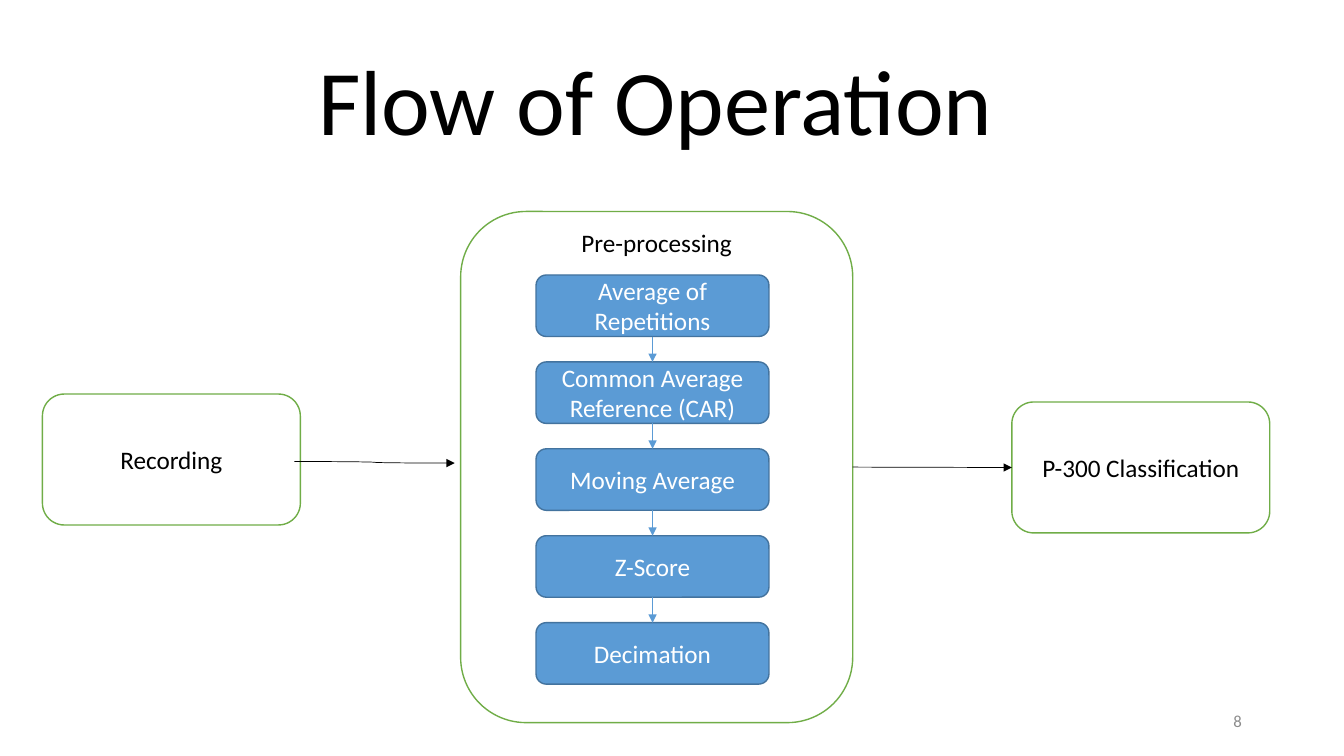
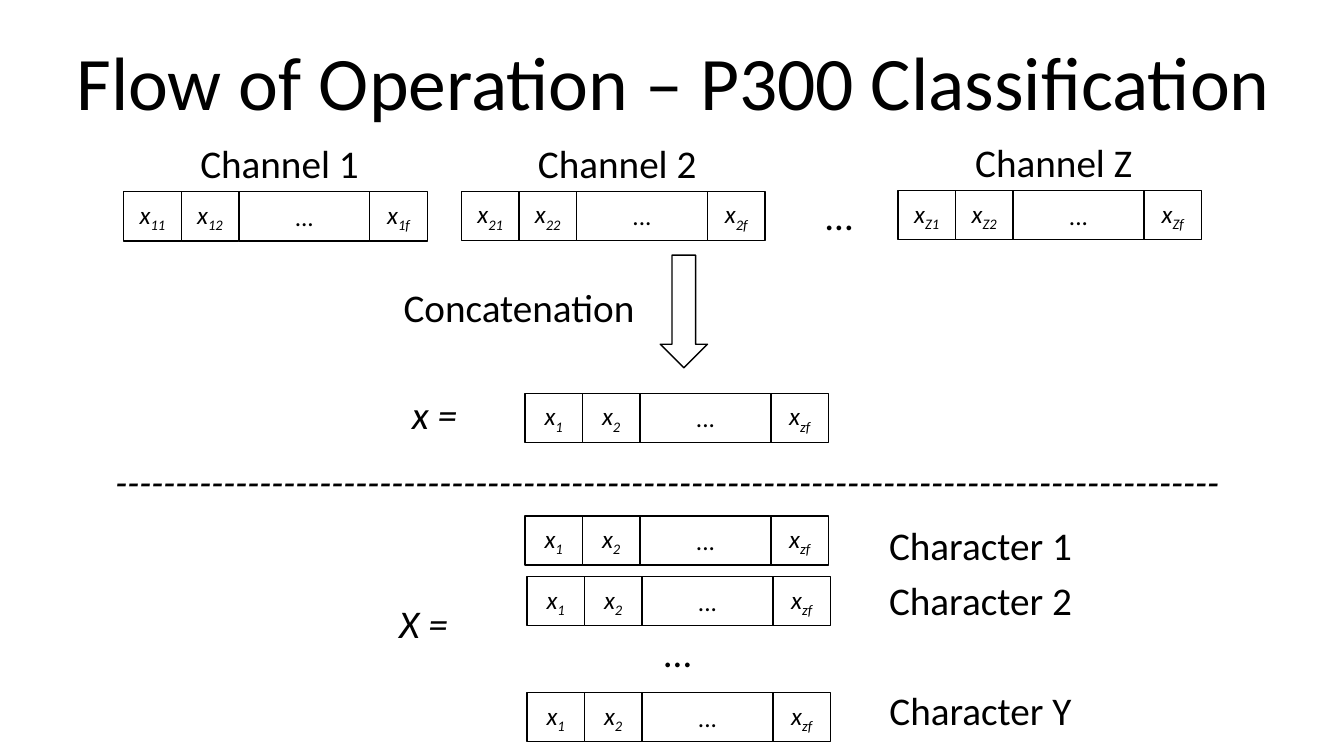
from itertools import pairwise

from lxml.etree import SubElement
from pptx import Presentation
from pptx.dml.color import RGBColor
from pptx.enum.shapes import MSO_CONNECTOR as Link, MSO_SHAPE as Preset
from pptx.enum.text import MSO_ANCHOR as Anchor, MSO_AUTO_SIZE as AutoSize, PP_ALIGN as Align
from pptx.oxml.ns import qn
from pptx.util import Cm, Pt

FONT = "Calibri"
BLACK, WHITE, GREY = "000000", "FFFFFF", "8C8C8C"
GREEN, BLUE, DARK_BLUE = "70AD47", "5B9BD5", "43739E"
STEPS = ["Average of Repetitions", "Common Average Reference (CAR)",
         "Moving Average", "Z-Score", "Decimation"]
CELL_WIDTHS = [1.45, 1.45, 3.3, 1.45]
CELL_HEIGHT = 1.24
LABEL_HEIGHT = 1.45


def color(hex_text):
    """Turn a hex string into a colour."""
    return RGBColor.from_string(hex_text)


def write_text(frame, text, sub="", size=18, ink=BLACK, italic=False,
               align=Align.CENTER, anchor=Anchor.MIDDLE, wrap=True):
    """Write one formatted paragraph with an optional subscript."""
    frame.word_wrap = wrap
    frame.auto_size = AutoSize.NONE
    frame.vertical_anchor = anchor
    para = frame.paragraphs[0]
    para.alignment = align
    for part in filter(None, (text, sub)):
        span = para.add_run()
        span.text = part
        span.font.name = FONT
        span.font.size = Pt(size)
        span.font.italic = italic
        span.font.color.rgb = color(ink)
    if sub:
        span.font._element.set("baseline", "-25000")


def add_title(page, text, box, size):
    """Place and format the title placeholder."""
    title = page.shapes.title
    title.left, title.top, title.width, title.height = map(Cm, box)
    write_text(title.text_frame, text, size=size, wrap=False)


def add_label(page, text, box, wrap=False, **style):
    """Add a text box."""
    label = page.shapes.add_textbox(*map(Cm, box))
    write_text(label.text_frame, text, wrap=wrap, **style)


def add_block(page, box, preset=Preset.ROUNDED_RECTANGLE, fill=WHITE, line=GREEN, text="", **style):
    """Add a filled, outlined shape with optional text."""
    block = page.shapes.add_shape(preset, *map(Cm, box))
    block.shadow.inherit = False
    block.fill.solid()
    block.fill.fore_color.rgb = color(fill)
    block.line.color.rgb = color(line)
    block.line.width = Pt(1)
    if text:
        write_text(block.text_frame, text, **style)
    return block


def add_arrow(page, ends=(0, 0, 0, 0), kind=Link.STRAIGHT, ink=BLACK):
    """Add a thin connector with a triangle at its end."""
    arrow = page.shapes.add_connector(kind, *map(Cm, ends))
    arrow.line.color.rgb = color(ink)
    arrow.line.width = Pt(0.5)
    SubElement(arrow.line._get_or_add_ln(), qn("a:tailEnd"), type="triangle")
    SubElement(arrow._element.spPr, qn("a:effectLst"))
    return arrow


def join(page, source, target, sites, ink=BLACK):
    """Glue an arrow between connection sites of two shapes."""
    arrow = add_arrow(page, ink=ink)
    arrow.begin_connect(source, sites[0])
    arrow.end_connect(target, sites[1])


def add_preprocessing(page, box):
    """Draw the pre-processing frame and its chain of steps."""
    left, top, width, _ = box
    frame = add_block(page, box)
    add_label(page, "Pre-processing", (left, top + 0.37, width, 0.8))
    steps = [
        add_block(page, (left + 1.9, top + 1.6 + 2.19 * row, 5.87, 1.55),
                  fill=BLUE, line=DARK_BLUE, text=text, ink=WHITE)
        for row, text in enumerate(STEPS)
    ]
    for upper, lower in pairwise(steps):
        join(page, upper, lower, (2, 0), ink=BLUE)
    return frame


def add_vector(page, left, top, subs):
    """Draw a row of cells x with first, second and last subscripts."""
    first, second, last = subs
    for width, sub in zip(CELL_WIDTHS, (first, second, "", last)):
        add_block(page, (left, top, width, CELL_HEIGHT), Preset.RECTANGLE, line=BLACK,
                  text="x" if sub else "...", sub=sub, italic=bool(sub))
        left += width


def add_channel(page, left, top, name):
    """Draw a channel's vector with its name above."""
    add_vector(page, left, top, [name + end for end in "12f"])
    add_label(page, f"Channel {name}", (left + 1.65, top - LABEL_HEIGHT, 4.55, LABEL_HEIGHT), size=28)


def build_flow(page):
    """Build the overview of the operation."""
    add_title(page, "Flow of Operation", (7.54, 0.94, 17.96, 3.07), 66)
    add_block(page, (1.07, 9.93, 6.5, 3.3), text="Recording")
    frame = add_preprocessing(page, (11.61, 5.33, 9.88, 12.88))
    classifier = add_block(page, (25.5, 10.13, 6.5, 3.3), text="P-300 Classification")
    add_arrow(page, (7.42, 11.63, 11.46, 11.67), kind=Link.CURVE)
    join(page, frame, classifier, (3, 1))
    add_label(page, "8", (23.93, 17.65, 7.62, 1.02), wrap=True, size=12, ink=GREY, align=Align.RIGHT)


def build_classification(page):
    """Build the feature vectors used for classification."""
    add_title(page, "Flow of Operation – P300 Classification", (1.5, 0.74, 30.94, 2.57), 54)
    for left, top, name in [(3.12, 4.83, "1"), (11.63, 4.82, "2"), (22.63, 4.8, "Z")]:
        add_channel(page, left, top, name)
    add_block(page, (16.64, 6.43, 1.19, 2.84), Preset.DOWN_ARROW, line=BLACK)

    for left, top in [(13.23, 9.91), (13.23, 13), (13.28, 14.53), (13.28, 17.45)]:
        add_vector(page, left, top, ["1", "2", "zf"])

    for text, left, top, width, italic in [
        ("…", 20.55, 4.7, 1.19, False),
        ("Concatenation", 9.88, 7.01, 6.4, False),
        ("x =", 10.11, 9.7, 1.68, True),
        ("-" * 92, 2.41, 11.38, 28.78, True),
        ("X =", 9.8, 14.96, 1.75, True),
        ("…", 16.48, 15.7, 1.19, False),
        ("Character 1", 22.12, 13, 5.18, False),
        ("Character 2", 22.12, 14.4, 5.18, False),
        ("Character Y", 22.12, 17.15, 5.18, False),
    ]:
        add_label(page, text, (left, top, width, LABEL_HEIGHT), size=28, italic=italic)


def main():
    """Build and save the deck."""
    deck = Presentation()
    deck.slide_width, deck.slide_height = Cm(33.87), Cm(19.05)
    for build in (build_flow, build_classification):
        build(deck.slides.add_slide(deck.slide_layouts[5]))
    deck.save("out.pptx")


if __name__ == "__main__":
    main()
